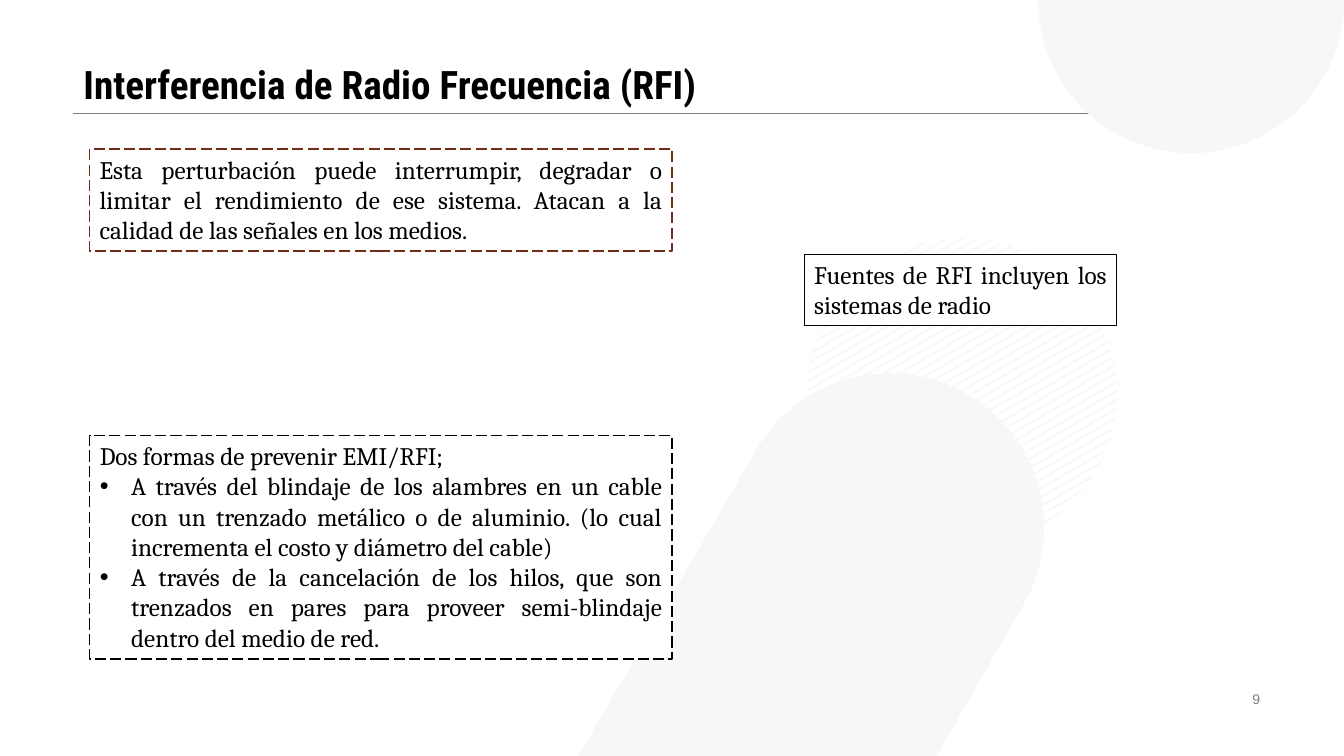
from dataclasses import dataclass
from math import cos, radians, sin, sqrt

from pptx import Presentation
from pptx.dml.color import RGBColor
from pptx.enum.dml import MSO_LINE
from pptx.enum.shapes import MSO_CONNECTOR, MSO_SHAPE
from pptx.enum.text import MSO_ANCHOR, MSO_AUTO_SIZE, PP_ALIGN
from pptx.oxml.ns import qn
from pptx.util import Cm, Pt
from lxml.etree import SubElement


@dataclass
class Theme:
    black: str = "000000"
    white: str = "FFFFFF"
    gray: str = "808080"
    pale: str = "F7F7F7"
    rust: str = "742B1C"
    head: str = "Roboto Condensed"
    serif: str = "Cambria"
    sans: str = "Arial"
    big: int = 28
    text: int = 18
    small: int = 10


theme = Theme()
WIDE, HIGH = 33.87, 19.05
LEFT, RIGHT, RULE = 1.85, 32, 2.84
TITLE = "Interferencia de Radio Frecuencia (RFI)"
PAGE = "9"
EFFECT = [
    "Esta perturbación puede interrumpir, degradar o limitar el rendimiento de ese sistema. "
    "Atacan a la calidad de las señales en los medios.",
]
SOURCE = ["Fuentes de RFI incluyen los sistemas de radio"]
REMEDY = [
    "Dos formas de prevenir EMI/RFI;",
    "A través del blindaje de los alambres en un cable con un trenzado metálico o de aluminio. "
    "(lo cual incrementa el costo y diámetro del cable)",
    "A través de la cancelación de los hilos, que son trenzados en pares para proveer "
    "semi-blindaje dentro del medio de red.",
]
BOXES = [
    (EFFECT, (2.26, 3.76, 14.68, 2.57), theme.rust, MSO_LINE.LONG_DASH),
    (SOURCE, (20.27, 6.41, 7.87, 1.8), theme.black, MSO_LINE.SOLID),
    (REMEDY, (2.26, 10.97, 14.68, 5.64), theme.black, MSO_LINE.LONG_DASH),
]
DISC = (30.02, 0, 3.86)
PILL = (22.42, 13.3, 3.89)
FEET = [(23.6, HIGH), (14.58, HIGH)]
HATCH = (24.24, 9.91, 3.91)
COUNT, FIRST, LAST, THICK = 40, -3.78, 3.83, 0.04


def color(code):
    return RGBColor.from_string(code)


def arc(ring, start, end):
    x, y, r = ring
    turns = [radians(a) for a in range(start, end + 1, 3)]
    return [(x + r * cos(t), y + r * sin(t)) for t in turns]


def strips(ring):
    x, y, r = ring
    tilt = radians(-30)
    step = (LAST - FIRST) / (COUNT - 1)

    def chord(gap):
        half = sqrt(r * r - gap * gap)
        return [
            (x + s * half * cos(tilt) - gap * sin(tilt),
             y + s * half * sin(tilt) + gap * cos(tilt))
            for s in (-1, 1)
        ]

    gaps = [FIRST + n * step for n in range(COUNT)]
    return [chord(g) + chord(g + THICK)[::-1] for g in gaps]


def outline(shapes, paths):
    paths = [[(Cm(x), Cm(y)) for x, y in path] for path in paths]
    pen = shapes.build_freeform(*paths[0][0])
    pen.add_line_segments(paths[0][1:])
    for path in paths[1:]:
        pen.move_to(*path[0])
        pen.add_line_segments(path[1:])
    form = pen.convert_to_shape()
    form.shadow.inherit = False
    form.fill.solid()
    form.fill.fore_color.rgb = color(theme.pale)
    form.line.fill.background()


def place(shape, spot):
    shape.left, shape.top, shape.width, shape.height = map(Cm, spot)


def write(shape, lines, font, size, tint, align, anchor, bold=False):
    frame = shape.text_frame
    frame.text = "\n".join(lines)
    frame.word_wrap = True
    frame.auto_size = MSO_AUTO_SIZE.NONE
    frame.vertical_anchor = anchor
    for para in frame.paragraphs:
        para.alignment = align
        para.space_before = Pt(0)
        for run in para.runs:
            run.font.name = font
            run.font.size = Pt(size)
            run.font.bold = bold
            run.font.color.rgb = color(tint)


def bullet(shape):
    for n, para in enumerate(shape.element.txBody.p_lst):
        props = para.get_or_add_pPr()
        dent = Cm(0.79) if n else 0
        props.set("marL", str(dent))
        props.set("indent", str(-dent))
        if n:
            SubElement(props, qn("a:buFont")).set("typeface", theme.sans)
            SubElement(props, qn("a:buChar")).set("char", "•")
        else:
            SubElement(props, qn("a:buNone"))


def main():
    deck = Presentation()
    deck.slide_width, deck.slide_height = Cm(WIDE), Cm(HIGH)
    slide = deck.slides.add_slide(deck.slide_layouts[1])
    shapes = slide.shapes
    title, body = shapes.title, slide.placeholders[1]

    rule = shapes.add_connector(
        MSO_CONNECTOR.STRAIGHT, Cm(LEFT), Cm(RULE), Cm(RIGHT), Cm(RULE))
    rule.line.color.rgb = color(theme.gray)
    rule.line.width = Pt(0.25)
    SubElement(rule.element.spPr, qn("a:effectLst"))

    outline(shapes, strips(HATCH))
    outline(shapes, [arc(DISC, 0, 180)])
    outline(shapes, [arc(PILL, 210, 390) + FEET])

    tree = title.element.getparent()
    tree.append(title.element)
    place(title, (LEFT, 0, RIGHT - LEFT, RULE))
    write(title, [TITLE], theme.head, theme.big, theme.black,
          PP_ALIGN.LEFT, MSO_ANCHOR.BOTTOM, True)
    title.text_frame.paragraphs[0].line_spacing = 0.9

    page = shapes.add_textbox(Cm(23.93), Cm(17.32), Cm(8.08), Cm(0.58))
    write(page, [PAGE], theme.sans, theme.small, theme.gray,
          PP_ALIGN.RIGHT, MSO_ANCHOR.MIDDLE)

    for lines, spot, edge, dash in BOXES:
        if lines is REMEDY:
            box = body
            tree.append(box.element)
            place(box, spot)
        else:
            box = shapes.add_shape(MSO_SHAPE.RECTANGLE, *map(Cm, spot))
            box.shadow.inherit = False
        box.fill.solid()
        box.fill.fore_color.rgb = color(theme.white)
        box.line.color.rgb = color(edge)
        box.line.width = Pt(1)
        box.line.dash_style = dash
        write(box, lines, theme.serif, theme.text, theme.black,
              PP_ALIGN.JUSTIFY, MSO_ANCHOR.TOP)
    bullet(body)

    deck.save("out.pptx")


if __name__ == "__main__":
    main()
